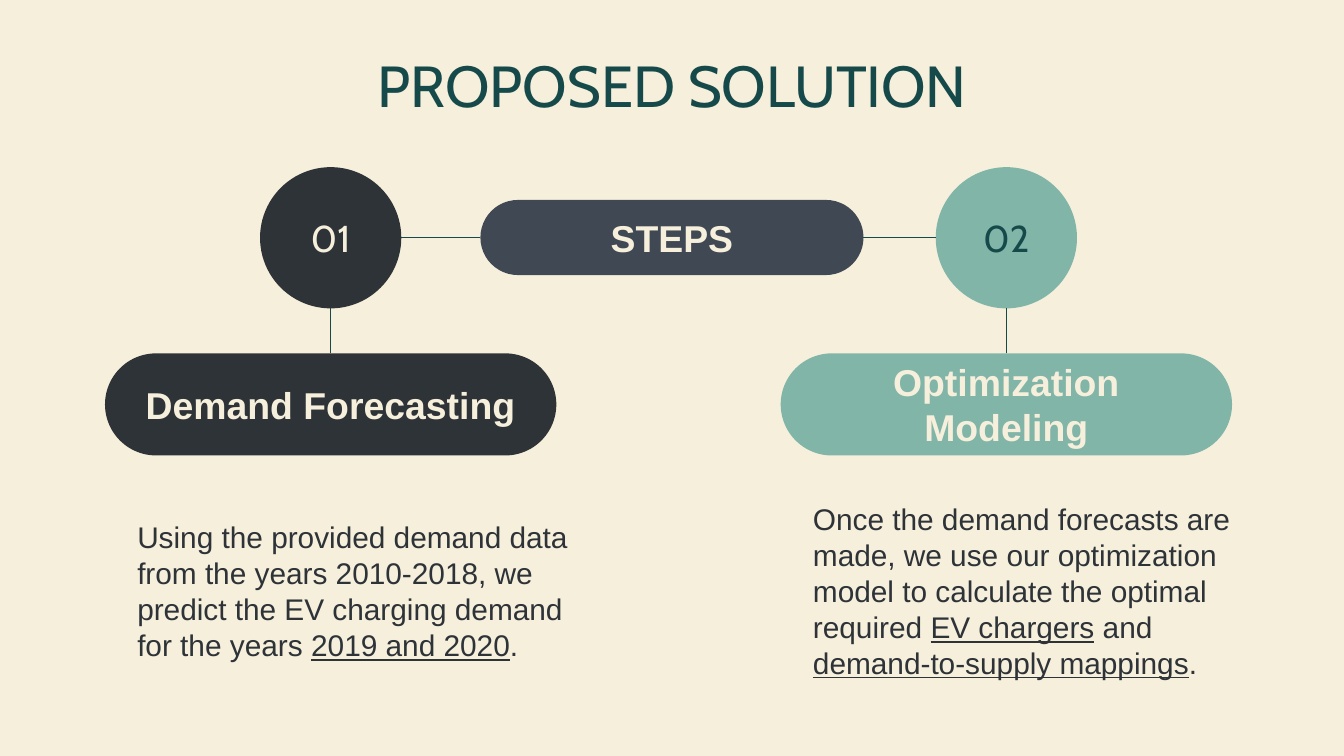
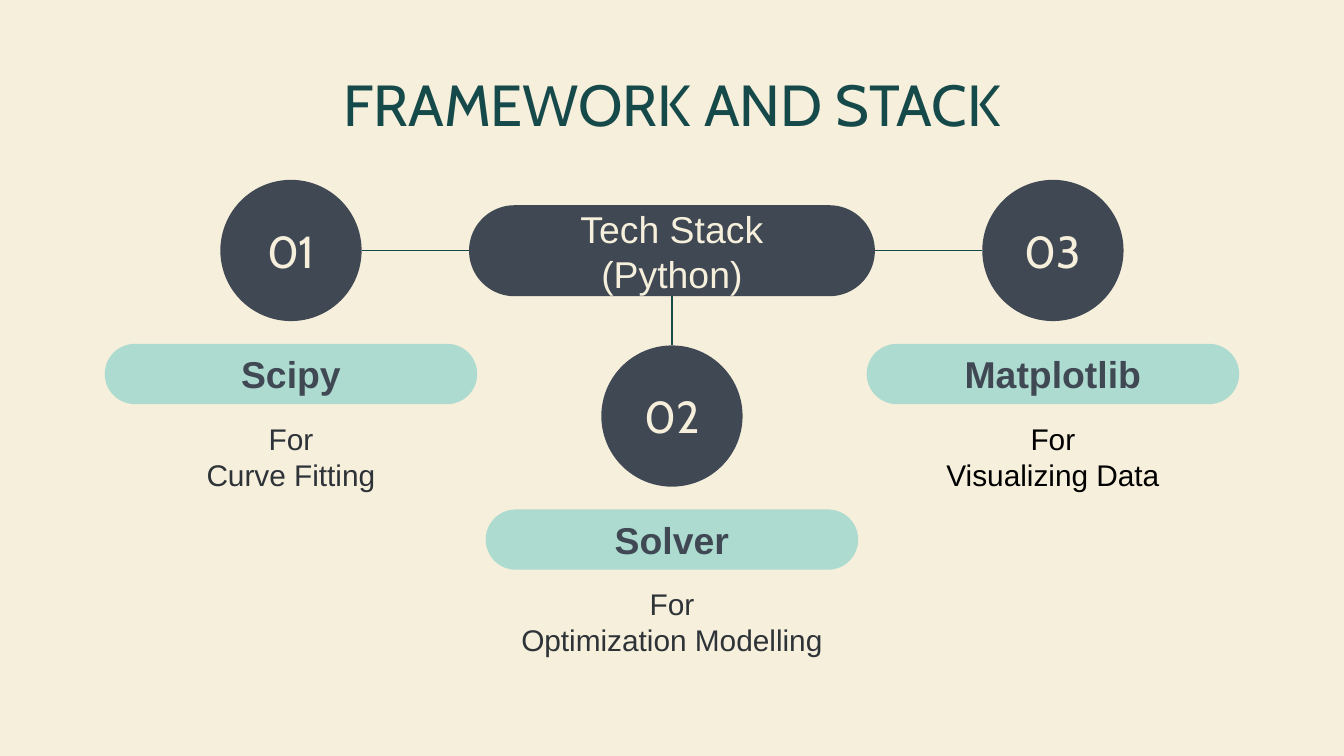
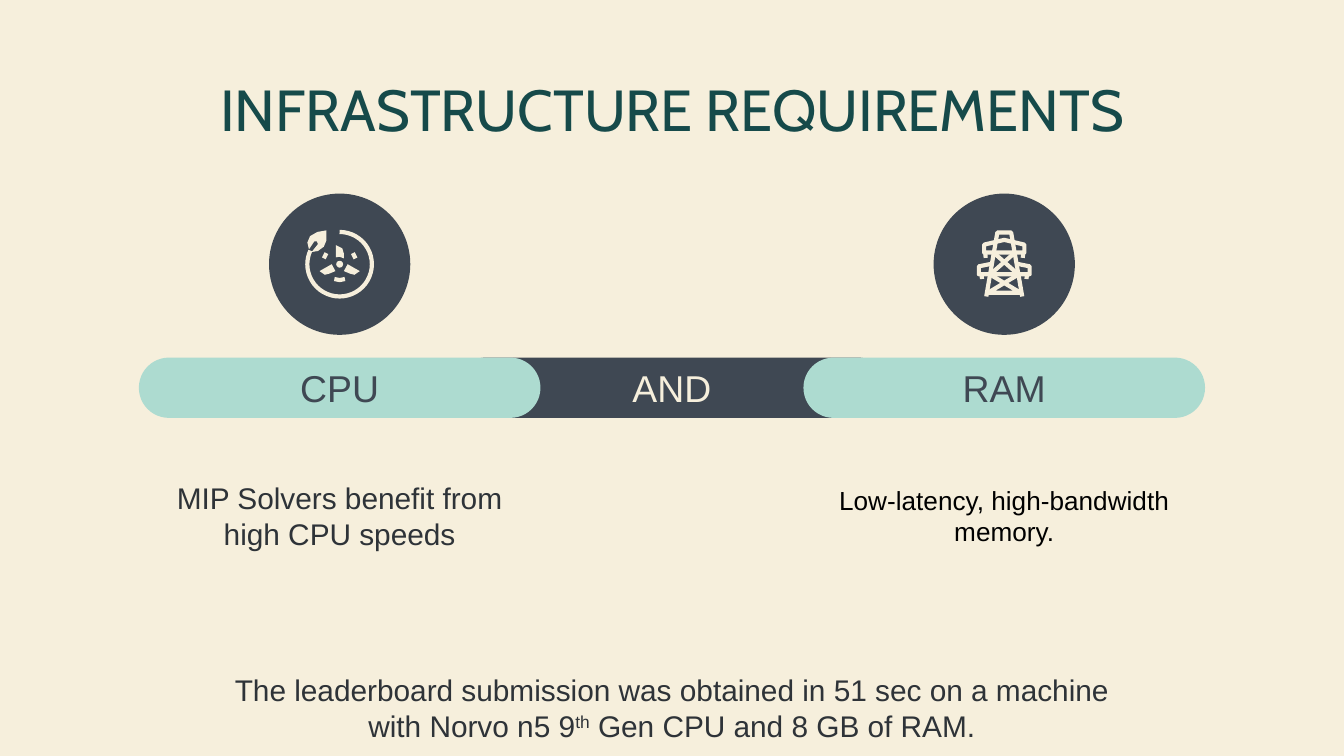
from dataclasses import dataclass, replace
from typing import NamedTuple

from lxml import etree
from pptx import Presentation
from pptx.dml.color import RGBColor
from pptx.enum.shapes import MSO_CONNECTOR, MSO_SHAPE
from pptx.enum.text import MSO_ANCHOR, MSO_AUTO_SIZE, PP_ALIGN
from pptx.oxml.ns import qn
from pptx.util import Cm, Pt

PILL, CIRCLE, ARC = MSO_SHAPE.ROUNDED_RECTANGLE, MSO_SHAPE.OVAL, MSO_SHAPE.ARC
STRAIGHT = MSO_CONNECTOR.STRAIGHT
CENTER, LEFT_ALIGNED = PP_ALIGN.CENTER, PP_ALIGN.LEFT
TOP_ANCHOR, MIDDLE_ANCHOR = MSO_ANCHOR.TOP, MSO_ANCHOR.MIDDLE
NO_AUTOFIT = MSO_AUTO_SIZE.NONE
TOP, LEFT, BOTTOM, RIGHT = range(4)

COLORS = {
    "cream": "F6EFDC",
    "teal": "164A4A",
    "charcoal": "2E3338",
    "slate": "3F4853",
    "sage": "81B5A8",
    "mint": "ADDBD0",
    "black": "000000",
}
TITLE = {"name": "Cabin", "size": Pt(31)}
NUMBER = {"name": "Cabin", "size": Pt(24)}
SMALL_NUMBER = {"name": "Cabin", "size": Pt(20)}
LABEL = {"name": "Arial", "size": Pt(20)}
BOLD_LABEL = {**LABEL, "bold": True}
BODY = {"name": "Arial", "size": Pt(16)}
SMALL_BODY = {"name": "Arial", "size": Pt(14)}

SLIDE_WIDTH, SLIDE_HEIGHT = 25.4, 14.29
MIDDLE = SLIDE_WIDTH / 2
DIAMETER = 2.67
PILL_HEIGHT = 1.14
INSET = 0.25


class Run(NamedTuple):
    """A piece of text with its own emphasis."""
    text: str
    underline: bool = False
    superscript: bool = False


@dataclass(frozen=True)
class Box:
    """A pill, circle or plain text placed by its centre line, in centimetres."""
    center: float
    top: float
    width: float
    height: float
    runs: tuple[Run, ...] = ()
    style: dict | None = None
    color: str = "charcoal"
    fill: str | None = None
    kind: int = PILL
    align: int = CENTER
    left_inset: float = INSET


class Mark(NamedTuple):
    """A line or filled patch of an icon, in hundredths of a centimetre."""
    points: tuple[tuple[int, int], ...]
    filled: bool = False
    closed: bool = False
    mirrored: bool = False


class Step(NamedTuple):
    """A numbered step with a pill and a description."""
    number: str
    center: float
    name: str
    runs: tuple[Run, ...]
    fill: str
    number_color: str


class Tool(NamedTuple):
    """A numbered part of the tech stack."""
    name: str
    purpose: str
    circle_top: float
    color: str


class Resource(NamedTuple):
    """A hardware need with its icon."""
    name: str
    center: float
    need: str
    style: dict
    color: str
    marks: tuple[Mark, ...]


FAN = (
    Mark(((-25, -64), (-42, -61), (-56, -53), (-61, -41), (-58, -28), (-48, -43),
          (-43, -43), (-41, -38), (-53, -23), (-41, -25), (-30, -33), (-25, -45)),
         filled=True),
    Mark(((-7, -36), (-7, -13), (0, -14), (8, -11), (8, -20), (5, -30)), filled=True),
    Mark(((-15, 0), (-38, 13), (-28, 20), (-20, 18), (-8, 13)),
         filled=True, mirrored=True),
    Mark(((-25, -21), (-30, -11)), mirrored=True),
    Mark(((-10, 28), (0, 30), (10, 28))),
)
PYLON = (
    Mark(((-34, 61), (-13, -60), (13, -60), (34, 61))),
    Mark(((-38, -22), (-38, -37), (0, -46), (38, -37), (38, -22)), closed=True),
    Mark(((-23, -1), (-48, 4), (-48, 19), (48, 19), (48, 4), (23, -1))),
    Mark(((-26, 20), (31, 54), (-31, 54), (26, 20))),
    Mark(((-18, -20), (25, 18)), mirrored=True),
    Mark(((-36, -22), (-35, -12)), mirrored=True),
    Mark(((-43, 19), (-42, 28)), mirrored=True),
)

STEPS = (
    Step("01", 6.25, "Demand Forecasting", (
        Run("Using the provided demand data from the years 2010-2018, we predict "
            "the EV charging demand for the years "),
        Run("2019 and 2020", underline=True), Run(".")), "charcoal", "cream"),
    Step("02", 19.02, "Optimization Modeling", (
        Run("Once the demand forecasts are made, we use our optimization model "
            "to calculate the optimal required "),
        Run("EV chargers", underline=True), Run(" and "),
        Run("demand-to-supply mappings", underline=True), Run(".")), "sage", "teal"),
)
TOOLS = (
    Tool("Scipy", "Curve Fitting", 3.4, "charcoal"),
    Tool("Solver", "Optimization Modelling", 6.53, "charcoal"),
    Tool("Matplotlib", "Visualizing Data", 3.4, "black"),
)
RESOURCES = (
    Resource("CPU", 6.42, "MIP Solvers benefit from high CPU speeds",
             BODY, "charcoal", FAN),
    Resource("RAM", SLIDE_WIDTH - 6.42, "Low-latency, high-bandwidth memory.",
             SMALL_BODY, "black", PYLON),
)


def rgb(name: str) -> RGBColor:
    """Return the named colour."""
    return RGBColor.from_string(COLORS[name])


def write(text_frame, runs, style, color, align, anchor, inset, left_inset) -> None:
    """Fill a text frame with one formatted paragraph."""
    settings = {
        "word_wrap": True, "auto_size": NO_AUTOFIT, "vertical_anchor": anchor,
        "margin_left": Cm(left_inset), "margin_right": Cm(inset),
        "margin_top": Cm(inset), "margin_bottom": Cm(inset),
    }
    for name, value in settings.items():
        setattr(text_frame, name, value)
    paragraph = text_frame.paragraphs[0]
    paragraph.alignment = align
    for piece in runs:
        for index, line in enumerate(piece.text.split("\n")):
            if index:
                paragraph.add_line_break()
            run = paragraph.add_run()
            run.text = line
            for name, value in {**style, "underline": piece.underline or None}.items():
                setattr(run.font, name, value)
            run.font.color.rgb = rgb(color)
            if piece.superscript:
                run.font._element.set("baseline", "30000")


def paint(shape, fill: str | None, line: str | None = None):
    """Give a shape a flat fill and outline and no shadow."""
    shape.shadow.inherit = False
    if fill:
        shape.fill.solid()
        shape.fill.fore_color.rgb = rgb(fill)
    else:
        shape.fill.background()
    if line:
        shape.line.color.rgb = rgb(line)
        shape.line.width = Pt(2.25)
    else:
        shape.line.fill.background()
    return shape


def add_box(slide, box: Box):
    """Draw a box and its text."""
    frame = (Cm(box.center - box.width / 2), Cm(box.top), Cm(box.width), Cm(box.height))
    if box.fill:
        shape = paint(slide.shapes.add_shape(box.kind, *frame), box.fill)
        if box.kind == PILL:
            shape.adjustments[0] = 0.5
    else:
        shape = slide.shapes.add_textbox(*frame)
    if box.runs:
        write(shape.text_frame, box.runs, box.style, box.color, box.align,
              MIDDLE_ANCHOR, INSET, box.left_inset)
    return shape


def add_circle(slide, center: float, top: float, fill: str, number: str = "",
               style: dict = NUMBER, color: str = "cream"):
    """Draw a circle, with a number if one is given."""
    runs = (Run(number),) if number else ()
    return add_box(slide, Box(center, top, DIAMETER, DIAMETER, runs, style, color,
                              fill, CIRCLE))


def add_link(slide, pill, side: int, circle) -> None:
    """Join the middle of a pill's side to the edge of a circle."""
    x = pill.left + int(pill.width / 2)
    y = pill.top + int(pill.height / 2)
    ends = {
        TOP: (x, circle.top + circle.height),
        LEFT: (circle.left + circle.width, y),
        BOTTOM: (x, circle.top),
        RIGHT: (circle.left, y),
    }
    connector = slide.shapes.add_connector(STRAIGHT, x, y, *ends[side])
    connector.begin_connect(pill, side)
    connector.line.color.rgb = rgb("teal")
    connector.line.width = Pt(0.75)
    etree.SubElement(connector._element.spPr, qn("a:effectLst"))


def add_icon(slide, center: float, middle: float, marks: tuple[Mark, ...]) -> None:
    """Draw the marks of an icon around a point."""
    for mark in marks:
        for sign in (1, -1) if mark.mirrored else (1,):
            points = [(sign * x, y) for x, y in mark.points]
            builder = slide.shapes.build_freeform(*points[0], scale=Cm(0.01))
            builder.add_line_segments(points[1:], close=mark.closed or mark.filled)
            shape = builder.convert_to_shape(Cm(center), Cm(middle))
            paint(shape, *(("cream", None) if mark.filled else (None, "cream")))


def add_fan_ring(slide, center: float, middle: float) -> None:
    """Draw the open ring and the hub of the fan."""
    size = 1.22
    ring = slide.shapes.add_shape(ARC, Cm(center - size / 2), Cm(middle - size / 2),
                                  Cm(size), Cm(size))
    ring.adjustments[0], ring.adjustments[1] = 162, 123
    paint(ring, None, "cream")
    hub = 0.13
    add_box(slide, Box(center, middle - hub / 2, hub, hub, fill="cream", kind=CIRCLE))


def add_titled_slide(presentation, title: str, top: float):
    """Add a title-only slide and format its title."""
    slide = presentation.slides.add_slide(presentation.slide_layouts[5])
    shape = slide.shapes.title
    frame = {"left": Cm(1.98), "top": Cm(top), "width": Cm(21.44), "height": Cm(1.27)}
    for name, value in frame.items():
        setattr(shape, name, value)
    write(shape.text_frame, (Run(title),), TITLE, "teal", CENTER, TOP_ANCHOR, 0, 0)
    return slide


def build_solution(presentation) -> None:
    """Build the slide with the two steps."""
    slide = add_titled_slide(presentation, "PROPOSED SOLUTION", 0.94)
    hub = add_box(slide, Box(MIDDLE, 3.78, 7.24, 1.42, (Run("STEPS"),), BOLD_LABEL,
                             "cream", "slate"))
    pill_width, body_width = 8.53, 9.04
    for step, side in zip(STEPS, (LEFT, RIGHT)):
        body_center = step.center + (body_width - pill_width) / 2
        add_box(slide, Box(body_center, 9.07, body_width, 4.19, step.runs, BODY,
                           align=LEFT_ALIGNED, left_inset=0.61))
        pill = add_box(slide, Box(step.center, 6.68, pill_width, 1.93,
                                  (Run(step.name),), BOLD_LABEL, "cream", step.fill))
        circle = add_circle(slide, step.center, 3.16, step.fill, step.number,
                            SMALL_NUMBER, step.number_color)
        add_link(slide, hub, side, circle)
        add_link(slide, pill, TOP, circle)


def build_stack(presentation) -> None:
    """Build the slide with the tech stack."""
    slide = add_titled_slide(presentation, "FRAMEWORK AND STACK", 1.3)
    hub = add_box(slide, Box(MIDDLE, 3.88, 7.67, 1.72, (Run("Tech Stack\n(Python)"),),
                             LABEL, "cream", "slate"))
    for index, (tool, side) in enumerate(zip(TOOLS, (LEFT, BOTTOM, RIGHT))):
        center = MIDDLE + (index - 1) * 7.2
        circle = add_circle(slide, center, tool.circle_top, "slate", f"{index + 1:02}")
        add_box(slide, Box(center, tool.circle_top + 4.45, 6.43, 1.55,
                           (Run(f"For\n{tool.purpose}"),), BODY, tool.color))
        add_box(slide, Box(center, tool.circle_top + 3.1, 7.04, PILL_HEIGHT,
                           (Run(tool.name),), BOLD_LABEL, "slate", "mint"))
        add_link(slide, hub, side, circle)


def build_infrastructure(presentation) -> None:
    """Build the slide with the hardware needs."""
    slide = add_titled_slide(presentation, "INFRASTRUCTURE REQUIREMENTS", 1.4)
    band = Box(MIDDLE, 6.76, 8.18, PILL_HEIGHT, (Run("AND"),), LABEL, "cream", "slate")
    add_box(slide, band)
    circle_top = 3.66
    middle = circle_top + DIAMETER / 2
    for resource in RESOURCES:
        add_circle(slide, resource.center, circle_top, "slate")
        add_box(slide, Box(resource.center, 8.13, 7.59, 3.23, (Run(resource.need),),
                           resource.style, resource.color))
        add_box(slide, replace(band, center=resource.center, width=7.59,
                               runs=(Run(resource.name),), color="slate", fill="mint"))
        add_icon(slide, resource.center, middle, resource.marks)
    add_fan_ring(slide, RESOURCES[0].center, middle)
    add_box(slide, Box(MIDDLE, 12.55, 17.32, 1.65, (
        Run("The leaderboard submission was obtained in 51 sec on a machine "
            "with Norvo n5 9"),
        Run("th", superscript=True), Run(" Gen CPU and 8 GB of RAM.")), BODY))


def main() -> None:
    """Build and save the presentation."""
    presentation = Presentation()
    presentation.slide_width = Cm(SLIDE_WIDTH)
    presentation.slide_height = Cm(SLIDE_HEIGHT)
    background = presentation.slide_master.background.fill
    background.solid()
    background.fore_color.rgb = rgb("cream")
    build_solution(presentation)
    build_stack(presentation)
    build_infrastructure(presentation)
    presentation.save("out.pptx")


if __name__ == "__main__":
    main()
